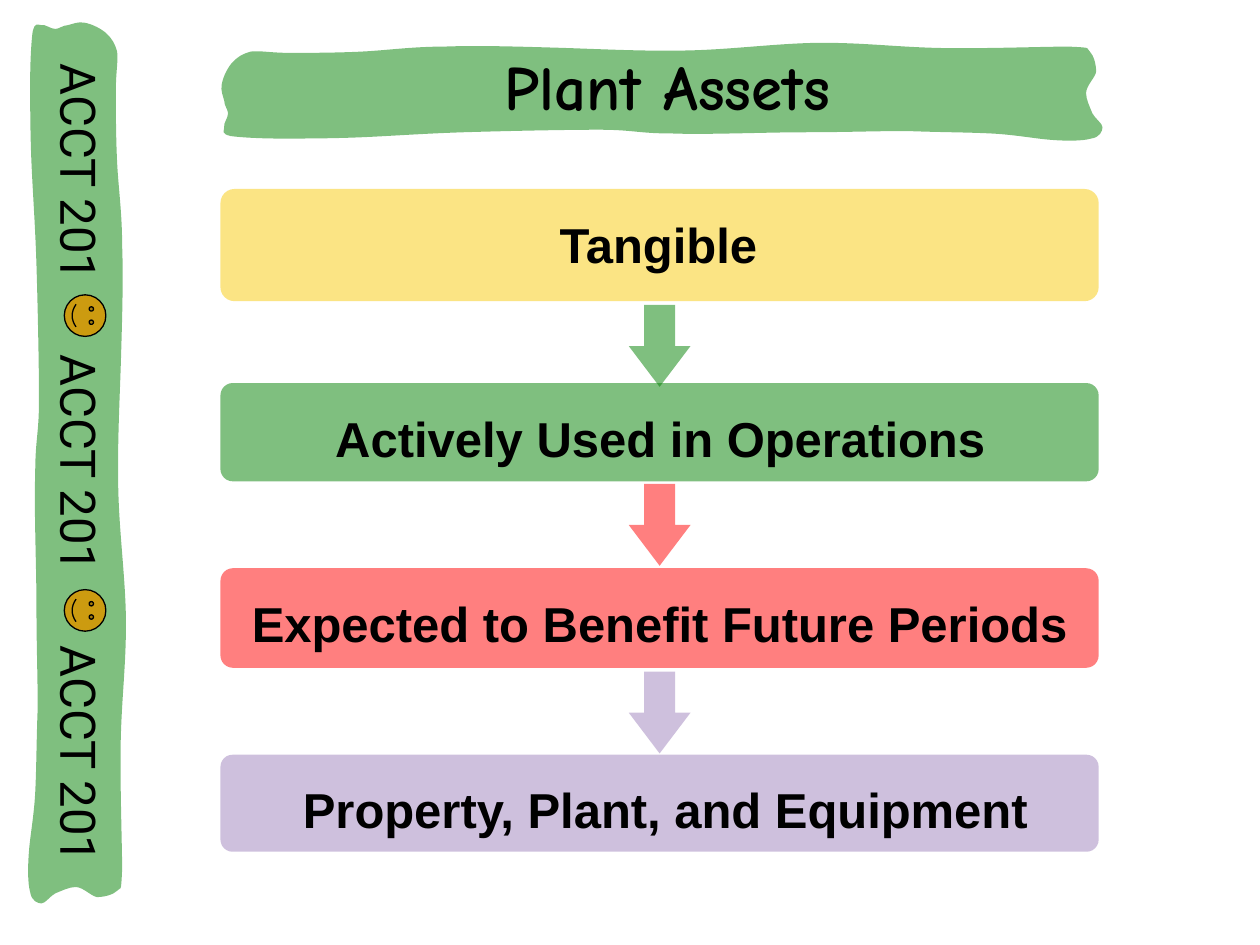
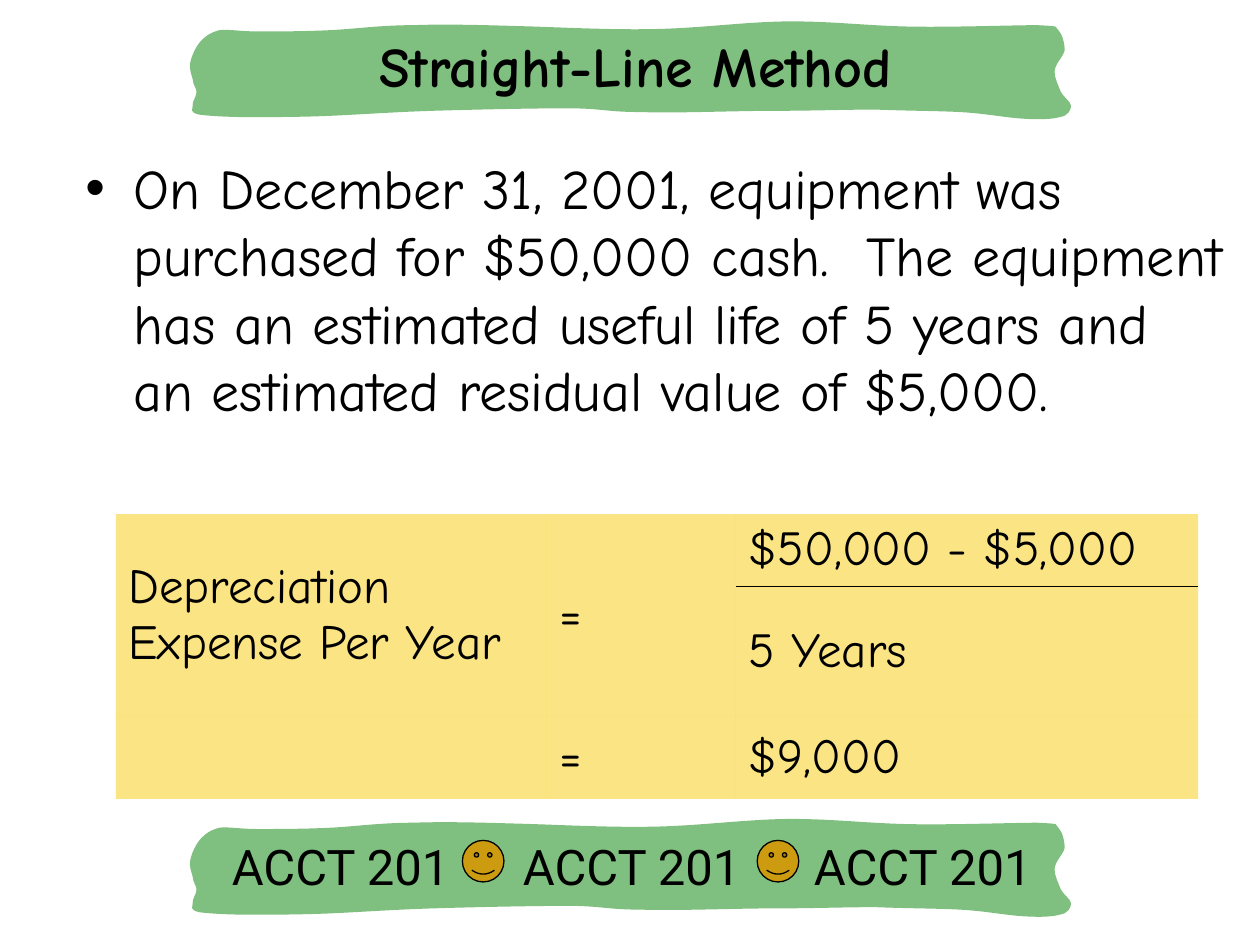
from pptx import Presentation
from pptx import util as u
from pptx.dml import color
from pptx.enum import shapes, text
from pptx.oxml import ns, xmlchemy

KIND = shapes.MSO_SHAPE
ALIGN = text.PP_ALIGN
ANCHOR = text.MSO_ANCHOR

BLACK, WHITE = "000000", "FFFFFF"
GREEN, YELLOW, RED, PURPLE = "008000", "F8CB0A", "FF0000", "9F83BD"
GOLD = "CC9B10"
COMIC, ARIAL, ROBOTO = "Comic Neue", "Arial", "Roboto"
COURSE = "\t".join(["ACCT 201"] * 3)

START = (5.45, 0.70)
CURVES = [
    (5.20, 0.70, 4.95, 0.71, 4.64, 0.71), (4.33, 0.71, 3.86, 0.73, 3.59, 0.72),
    (3.31, 0.72, 3.28, 0.69, 3.00, 0.69), (2.73, 0.69, 2.25, 0.70, 1.93, 0.71),
    (1.62, 0.72, 1.35, 0.74, 1.11, 0.75), (0.87, 0.76, 0.65, 0.76, 0.48, 0.76),
    (0.31, 0.76, 0.15, 0.75, 0.08, 0.74), (0.00, 0.72, 0.03, 0.70, 0.03, 0.67),
    (0.02, 0.64, 0.06, 0.60, 0.06, 0.56), (0.06, 0.53, 0.03, 0.50, 0.03, 0.46),
    (0.02, 0.42, 0.00, 0.38, 0.01, 0.33), (0.02, 0.27, 0.06, 0.19, 0.10, 0.15),
    (0.14, 0.11, 0.17, 0.09, 0.24, 0.07), (0.31, 0.06, 0.40, 0.08, 0.55, 0.08),
    (0.69, 0.08, 0.91, 0.08, 1.12, 0.07), (1.32, 0.06, 1.52, 0.03, 1.78, 0.03),
    (2.04, 0.02, 2.37, 0.03, 2.70, 0.04), (3.02, 0.05, 3.39, 0.07, 3.74, 0.06),
    (4.09, 0.05, 4.46, 0.00, 4.78, 0.00), (5.10, 0.00, 5.34, 0.03, 5.66, 0.04),
    (5.99, 0.05, 6.53, 0.03, 6.73, 0.03), (6.94, 0.04, 6.86, 0.04, 6.90, 0.07),
    (6.93, 0.10, 6.95, 0.17, 6.95, 0.23), (6.94, 0.28, 6.87, 0.34, 6.87, 0.40),
    (6.87, 0.45, 6.90, 0.51, 6.92, 0.56), (6.94, 0.60, 7.00, 0.64, 7.00, 0.67),
    (7.00, 0.70, 6.98, 0.75, 6.91, 0.76), (6.84, 0.78, 6.72, 0.78, 6.59, 0.77),
    (6.46, 0.76, 6.31, 0.73, 6.12, 0.72), (5.93, 0.71, 5.69, 0.71, 5.45, 0.70),
]


def rgb(code):
    return color.RGBColor.from_string(code)


def node(tag, **attrs):
    item = xmlchemy.OxmlElement(tag)
    for name, value in attrs.items():
        item.set(name, str(value))
    return item


def fade(item):
    next(item.iter(ns.qn("a:srgbClr"))).append(node("a:alpha", val=50000))


def write(frame, words, font=COMIC, size=28, bold=False, align=ALIGN.LEFT, space=0):
    para = frame.paragraphs[0]
    para.alignment = align
    para.space_before = u.Pt(space)
    run = para.add_run()
    run.text = words
    run.font.name = font
    run.font.size = u.Pt(size)
    run.font.bold = bold
    run.font.color.rgb = rgb(BLACK)


class Deck:
    def __init__(self):
        self.file = Presentation()
        self.file.slide_width = u.Inches(10)
        self.file.slide_height = u.Inches(7.5)

    def page(self):
        self.slide = self.file.slides.add_slide(self.file.slide_layouts[6])
        fill = self.slide.background.fill
        fill.solid()
        fill.fore_color.rgb = rgb(WHITE)

    def paint(self, shape, tint, line=None):
        shape.shadow.inherit = False
        shape.fill.solid()
        shape.fill.fore_color.rgb = rgb(tint)
        if line:
            shape.line.color.rgb = rgb(line)
            shape.line.width = u.Pt(0.75)
        else:
            fade(shape._element.spPr)
            shape.line.fill.background()

    def shape(self, kind, x, y, w, h, tint, adjust, line=None):
        item = self.slide.shapes.add_shape(kind, *map(u.Inches, (x, y, w, h)))
        for n, value in enumerate(adjust):
            item.adjustments[n] = value
        self.paint(item, tint, line)
        return item

    def label(self, words, x, y, w, h, wrap=True, **form):
        box = self.slide.shapes.add_textbox(*map(u.Inches, (x, y, w, h)))
        box.text_frame.word_wrap = wrap
        write(box.text_frame, words, **form)
        return box

    def band(self, x, y, down=False):
        def spot(along, depth):
            return (x - depth, y + along) if down else (x + along, y + depth)

        def place(point):
            return tuple(map(u.Inches, spot(*point)))

        build = self.slide.shapes.build_freeform(*place(START))
        build.add_line_segments([place(curve[4:]) for curve in CURVES], close=True)
        wave = build.convert_to_shape()
        lines = list(wave._element.iter(ns.qn("a:lnTo")))
        for line, curve in zip(lines, CURVES):
            bend = node("a:cubicBezTo")
            for n in (0, 2, 4):
                px, py = place(curve[n:n + 2])
                bend.append(node("a:pt", x=px - wave.left, y=py - wave.top))
            line.getparent().replace(line, bend)
        self.paint(wave, GREEN)
        return spot

    def course(self, x, y, down=False):
        spot = self.band(x, y, down)
        turn = 90 if down else 0
        cx, cy = spot(3.5, 0.37)
        box = self.label(COURSE, cx - 3.33, cy - 0.29, 6.67, 0.58, font=ROBOTO, space=7)
        box.rotation = turn
        frame = box.text_frame
        frame.vertical_anchor = ANCHOR.MIDDLE
        frame.margin_left = u.Inches(0.17)
        tabs = node("a:tabLst")
        for n in (1, 2):
            tabs.append(node("a:tab", pos=u.Inches(2.31 * n), algn="l"))
        frame.paragraphs[0]._p.get_or_add_pPr().append(tabs)
        for n in (-1, 1):
            cx, cy = spot(3.5 + n * 1.17, 0.33)
            face = self.shape(KIND.SMILEY_FACE, cx - 0.16, cy - 0.16, 0.33, 0.33,
                              GOLD, [0.05], line=BLACK)
            face.rotation = turn

    def title(self, words, x, y, size, *place):
        self.band(x, y)
        self.label(words, *place, size=size, bold=True, align=ALIGN.CENTER)

    def step(self, words, tint, top, high, left, wide, arrow):
        if arrow:
            self.shape(KIND.DOWN_ARROW, 4.99, arrow, 0.49, 0.65, tint, [0.5, 0.66])
        self.shape(KIND.ROUNDED_RECTANGLE, 1.75, top, 6.97, high, tint, [0.125])
        self.label(words, left, top + 0.15, wide, 0.56, wrap=False,
                   font=ARIAL, bold=True, align=ALIGN.CENTER)

    def bullet(self, words, *place, **form):
        frame = self.label(words, *place, **form).text_frame
        props = frame.paragraphs[0]._p.get_or_add_pPr()
        props.set("marL", str(u.Inches(0.38)))
        props.set("indent", str(-u.Inches(0.38)))
        props.append(node("a:buFont", typeface=ARIAL))
        props.append(node("a:buChar", char="•"))

    def rule(self, cell, side, tint=None):
        line = node(side, w=u.Pt(0.45))
        fill = node("a:solidFill" if tint else "a:noFill")
        if tint:
            fill.append(node("a:srgbClr", val=tint))
        line.append(fill)
        cell._tc.get_or_add_tcPr().insert(0, line)

    def table(self, rows, x, y, wides, highs):
        size = map(u.Inches, (x, y, sum(wides), sum(highs)))
        grid = self.slide.shapes.add_table(len(highs), len(wides), *size).table
        grid.first_row = grid.horz_banding = False
        style = next(grid._tbl.iter(ns.qn("a:tableStyleId")))
        style.text = "{2D5ABB26-0587-4C30-8999-92F81FD0307C}"
        for col, wide in zip(grid.columns, wides):
            col.width = u.Inches(wide)
        for r, (row, high) in enumerate(zip(rows, highs)):
            grid.rows[r].height = u.Inches(high)
            for c, words in enumerate(row):
                cell = grid.cell(r, c)
                cell.vertical_anchor = ANCHOR.MIDDLE
                cell.fill.solid()
                cell.fill.fore_color.rgb = rgb(YELLOW)
                fade(cell._tc)
                if words:
                    write(cell.text_frame, words, space=7)
        return grid


def main():
    deck = Deck()

    deck.page()
    steps = [
        ("Tangible", YELLOW, 1.5, 0.89, 4.33, 1.79, None),
        ("Actively Used in Operations", GREEN, 3.04, 0.78, 2.56, 5.36, 2.42),
        ("Expected to Benefit Future Periods", RED, 4.51, 0.79, 1.9, 6.67, 3.84),
        ("Property, Plant, and Equipment", PURPLE, 5.99, 0.77, 2.29, 5.98, 5.33),
    ]
    for step in reversed(steps):
        deck.step(*step)
    deck.course(1, 0.17, down=True)
    deck.title("Plant Assets", 1.75, 0.34, 36, 2.67, 0.33, 5.25, 0.7)

    deck.page()
    deck.bullet("On December 31, 2001, equipment was purchased for $50,000 cash.  "
                "The equipment has an estimated useful life of 5 years and "
                "an estimated residual value of $5,000.",
                0.58, 1.17, 9.25, 4.5, size=32, space=8)
    deck.course(1.5, 6.5)
    deck.title("Straight-Line Method", 1.5, 0.17, 32, 1.92, 0.2, 6.25, 0.64)
    grid = deck.table([
        ("Depreciation Expense Per Year", "=", "$50,000 - $5,000"),
        ("", "", "5 Years"),
        ("", "=", "$9,000"),
    ], 0.92, 4.08, (3.42, 1.5, 3.67), (0.57, 1.04, 0.65))
    for c in (0, 1):
        grid.cell(0, c).merge(grid.cell(1, c))
    deck.rule(grid.cell(0, 2), "a:lnB", BLACK)
    deck.rule(grid.cell(1, 2), "a:lnB")
    deck.rule(grid.cell(1, 2), "a:lnT", BLACK)
    deck.rule(grid.cell(2, 2), "a:lnT")

    deck.file.save("out.pptx")


if __name__ == "__main__":
    main()
